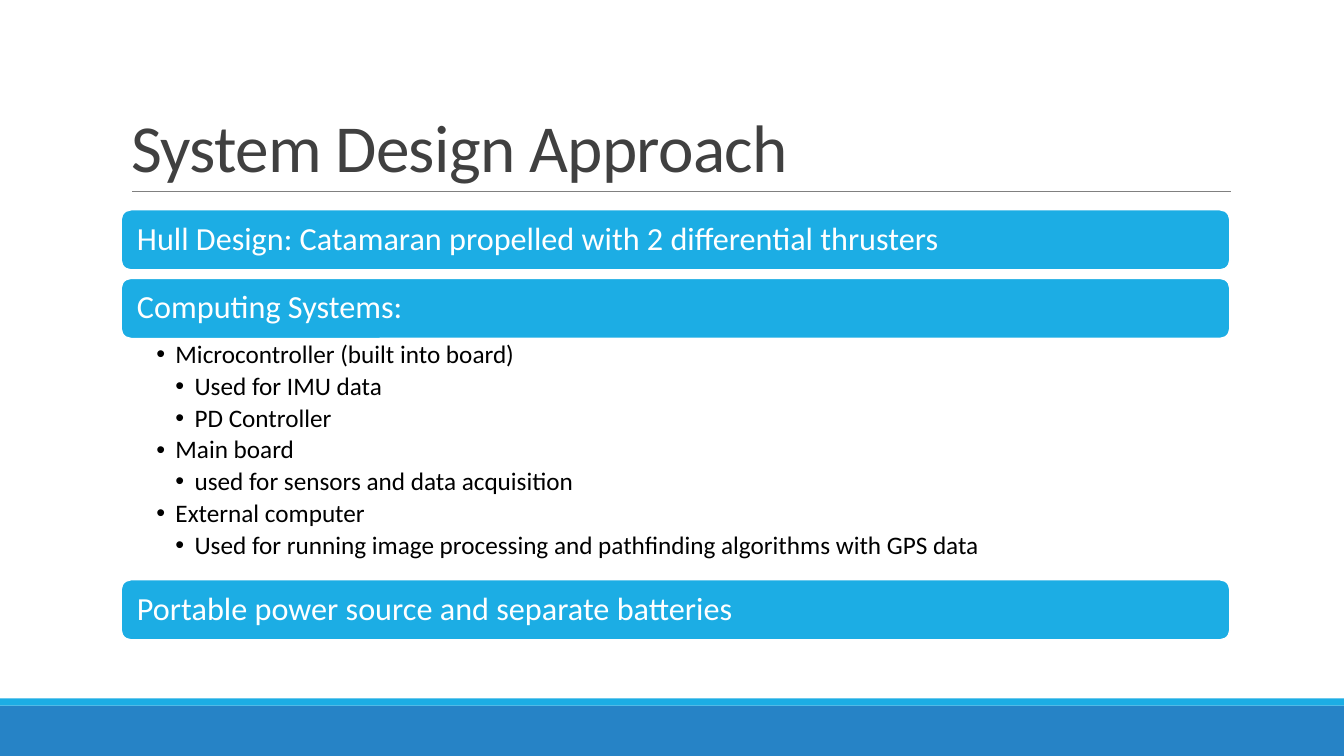
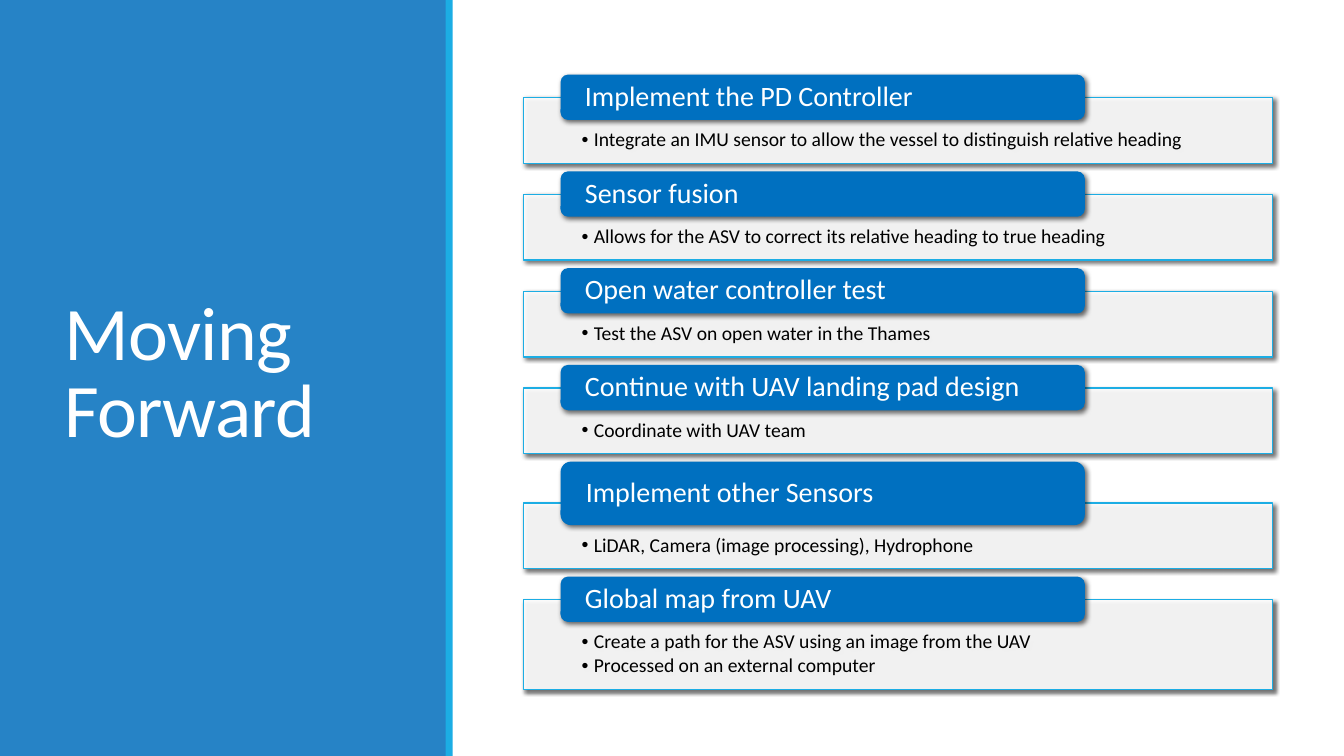
from dataclasses import dataclass
from typing import Optional

from lxml.etree import SubElement
from pptx import Presentation
from pptx.dml.color import RGBColor
from pptx.enum.shapes import MSO_CONNECTOR, MSO_SHAPE
from pptx.enum.text import MSO_ANCHOR, MSO_AUTO_SIZE, PP_ALIGN
from pptx.oxml.ns import qn
from pptx.util import Inches, Pt

FONT = "Calibri"
WHITE, BLACK, GREY, DARK = "FFFFFF", "000000", "808080", "404040"
BAND_BLUE, ACCENT_BLUE, HEADER_BLUE = "2683C6", "1CADE4", "0070C0"


@dataclass(frozen=True)
class Area:
    left: float
    top: float
    width: float
    height: float

    def lengths(self) -> tuple:
        return tuple(Inches(n) for n in (self.left, self.top, self.width, self.height))


@dataclass(frozen=True)
class TextStyle:
    size: float
    color: str
    insets: tuple = (0.1, 0.05, 0.1, 0.05)
    anchor: MSO_ANCHOR = MSO_ANCHOR.MIDDLE
    line_spacing: float = 0.9
    space_after: float = 0
    indent: float = 0
    tracking: float = 0


@dataclass(frozen=True)
class Item:
    text: str
    level: int = 0


@dataclass(frozen=True)
class Section:
    heading: str
    items: tuple[Item, ...] = ()
    heading_height: float = 0.45
    panel_height: float = 0.65


TITLE = TextStyle(48, DARK, anchor=MSO_ANCHOR.BOTTOM, line_spacing=0.85, tracking=-0.5)
SIDE_TITLE = TextStyle(54, WHITE, line_spacing=0.85, tracking=-0.5)
BAR_TEXT = TextStyle(23, WHITE, (0.13, 0.1, 0.13, 0.1))
LIST_TEXT = TextStyle(18, BLACK, (0.35, 0.03, 0.18, 0.03), MSO_ANCHOR.TOP,
                      space_after=3.3, indent=0.19)
HEADER_TEXT = TextStyle(20, WHITE, (0.22, 0, 0.22, 0))
PANEL_TEXT = TextStyle(14, BLACK, (0.58, 0.32, 0.58, 0.11), MSO_ANCHOR.TOP,
                       space_after=2, indent=0.12)

DESIGN = (
    Section("Hull Design: Catamaran propelled with 2 differential thrusters"),
    Section("Computing Systems:", (
        Item("Microcontroller (built into board)"),
        Item("Used for IMU data", 1),
        Item("PD Controller", 1),
        Item("Main board"),
        Item("used for sensors and data acquisition", 1),
        Item("External computer"),
        Item("Used for running image processing and pathfinding algorithms with GPS data", 1),
    )),
    Section("Portable power source and separate batteries"),
)

STEPS = (
    Section("Implement the PD Controller", (
        Item("Integrate an IMU sensor to allow the vessel to distinguish relative heading"),)),
    Section("Sensor fusion", (
        Item("Allows for the ASV to correct its relative heading to true heading"),)),
    Section("Open water controller test", (Item("Test the ASV on open water in the Thames"),)),
    Section("Continue with UAV landing pad design", (Item("Coordinate with UAV team"),)),
    Section("Implement other Sensors", (
        Item("LiDAR, Camera (image processing), Hydrophone"),), heading_height=0.63),
    Section("Global map from UAV", (
        Item("Create a path for the ASV using an image from the UAV"),
        Item("Processed on an external computer")), panel_height=0.89),
)


def rgb(color: str) -> RGBColor:
    return RGBColor.from_string(color)


def write(box, items: tuple[Item, ...], style: TextStyle) -> None:
    frame = box.text_frame
    frame.text = "\n".join(item.text for item in items)
    frame.word_wrap = True
    frame.auto_size = MSO_AUTO_SIZE.NONE
    frame.vertical_anchor = style.anchor
    (frame.margin_left, frame.margin_top,
     frame.margin_right, frame.margin_bottom) = (Inches(n) for n in style.insets)
    for para, item in zip(frame.paragraphs, items):
        para.alignment = PP_ALIGN.LEFT
        para.level = item.level
        para.line_spacing = style.line_spacing
        para.space_before = Pt(0)
        para.space_after = Pt(style.space_after)
        if style.indent:
            properties = para._p.get_or_add_pPr()
            properties.set("marL", str(Inches(style.indent * (item.level + 1))))
            properties.set("indent", str(-Inches(style.indent)))
            SubElement(properties, qn("a:buFont"), typeface="Arial")
            SubElement(properties, qn("a:buChar"), char="•")
        for span in para.runs:
            span.font.name = FONT
            span.font.size = Pt(style.size)
            span.font.color.rgb = rgb(style.color)
            if style.tracking:
                span._r.get_or_add_rPr().set("spc", str(round(style.tracking * 100)))


def place(box, area: Area) -> None:
    box.left, box.top, box.width, box.height = area.lengths()


def add_box(page, kind: MSO_SHAPE, area: Area, fill: str, line: Optional[str] = None,
            line_width: float = 1, shadow_blur: float = 0, opacity: int = 100):
    box = page.shapes.add_shape(kind, *area.lengths())
    box.fill.solid()
    box.fill.fore_color.rgb = rgb(fill)
    if line:
        box.line.color.rgb = rgb(line)
        box.line.width = Pt(line_width)
    else:
        box.line.fill.background()
    box.shadow.inherit = False
    properties = box.element.spPr
    if opacity < 100:
        color = properties.find(qn("a:solidFill")).find(qn("a:srgbClr"))
        SubElement(color, qn("a:alpha"), val=str(opacity * 1000))
    if shadow_blur:
        shadow = SubElement(properties.find(qn("a:effectLst")), qn("a:outerShdw"),
                            blurRad=str(Pt(shadow_blur)), dist=str(Pt(2)),
                            dir=str(45 * 60000), algn="ctr", rotWithShape="0")
        color = SubElement(shadow, qn("a:srgbClr"), val=BLACK)
        SubElement(color, qn("a:alpha"), val="60000")
    return box


def add_page(deck, layout: int, title: str, area: Area, style: TextStyle,
             band: Area, accent: Area):
    page = deck.slides.add_slide(deck.slide_layouts[layout])
    add_box(page, MSO_SHAPE.RECTANGLE, band, BAND_BLUE)
    add_box(page, MSO_SHAPE.RECTANGLE, accent, ACCENT_BLUE)
    heading = page.shapes.title
    page.shapes.element.append(heading.element)
    place(heading, area)
    write(heading, (Item(title),), style)
    return page


def add_design_page(deck) -> None:
    page = add_page(deck, 1, "System Design Approach", Area(1.2, 0.31, 11, 1.59), TITLE,
                    Area(0, 7, 13.33, 0.5), Area(0, 6.93, 13.33, 0.07))
    rule = page.shapes.add_connector(MSO_CONNECTOR.STRAIGHT, Inches(1.31), Inches(1.9),
                                     Inches(12.21), Inches(1.9))
    rule.line.color.rgb = rgb(GREY)
    rule.line.width = Pt(0.5)
    SubElement(rule.element.spPr, qn("a:effectLst"))
    left, top, width = 1.2, 2.08, 11
    bar_height, gap, list_height = 0.6, 0.08, 2.39
    for section in DESIGN:
        bar = add_box(page, MSO_SHAPE.ROUNDED_RECTANGLE, Area(left, top, width, bar_height),
                      ACCENT_BLUE, WHITE, 1.25)
        write(bar, (Item(section.heading),), BAR_TEXT)
        top += bar_height
        if section.items:
            body = page.placeholders[1]
            place(body, Area(left, top, width, list_height))
            write(body, section.items, LIST_TEXT)
            top += list_height
        else:
            top += gap


def add_steps_page(deck) -> None:
    page = add_page(deck, 5, "Moving Forward", Area(0.54, 0.57, 3.37, 6.31), SIDE_TITLE,
                    Area(0, 0, 4.43, 7.5), Area(4.42, 0, 0.07, 7.5))
    top, overlap, gap = 0.74, 0.22, 0.08
    for section in STEPS:
        panel_top = top + section.heading_height - overlap
        panel = add_box(page, MSO_SHAPE.RECTANGLE,
                        Area(5.19, panel_top, 7.43, section.panel_height),
                        WHITE, ACCENT_BLUE, shadow_blur=3, opacity=90)
        write(panel, section.items, PANEL_TEXT)
        header = add_box(page, MSO_SHAPE.ROUNDED_RECTANGLE,
                         Area(5.56, top, 5.2, section.heading_height),
                         HEADER_BLUE, shadow_blur=3.5)
        write(header, (Item(section.heading),), HEADER_TEXT)
        top = panel_top + section.panel_height + gap


def main() -> None:
    deck = Presentation()
    deck.slide_width, deck.slide_height = Inches(13.33), Inches(7.5)
    add_design_page(deck)
    add_steps_page(deck)
    deck.save("out.pptx")


if __name__ == "__main__":
    main()
